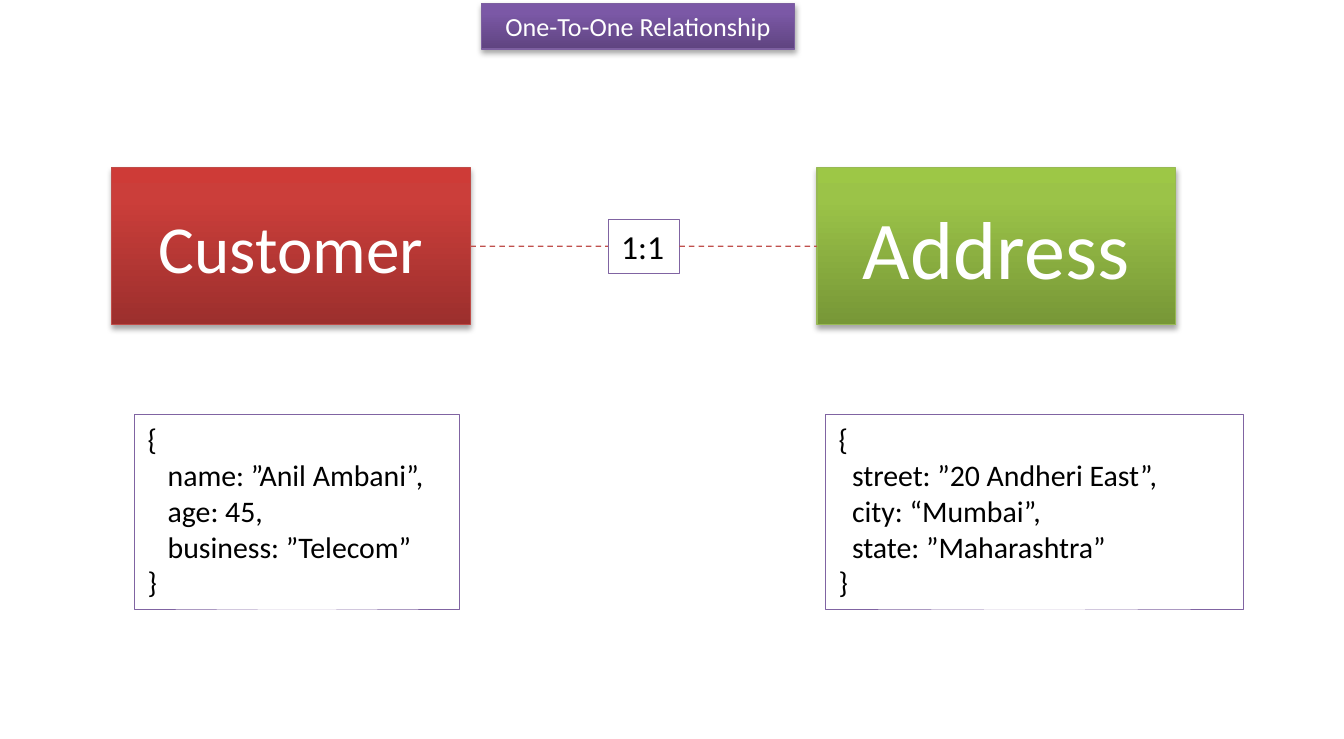
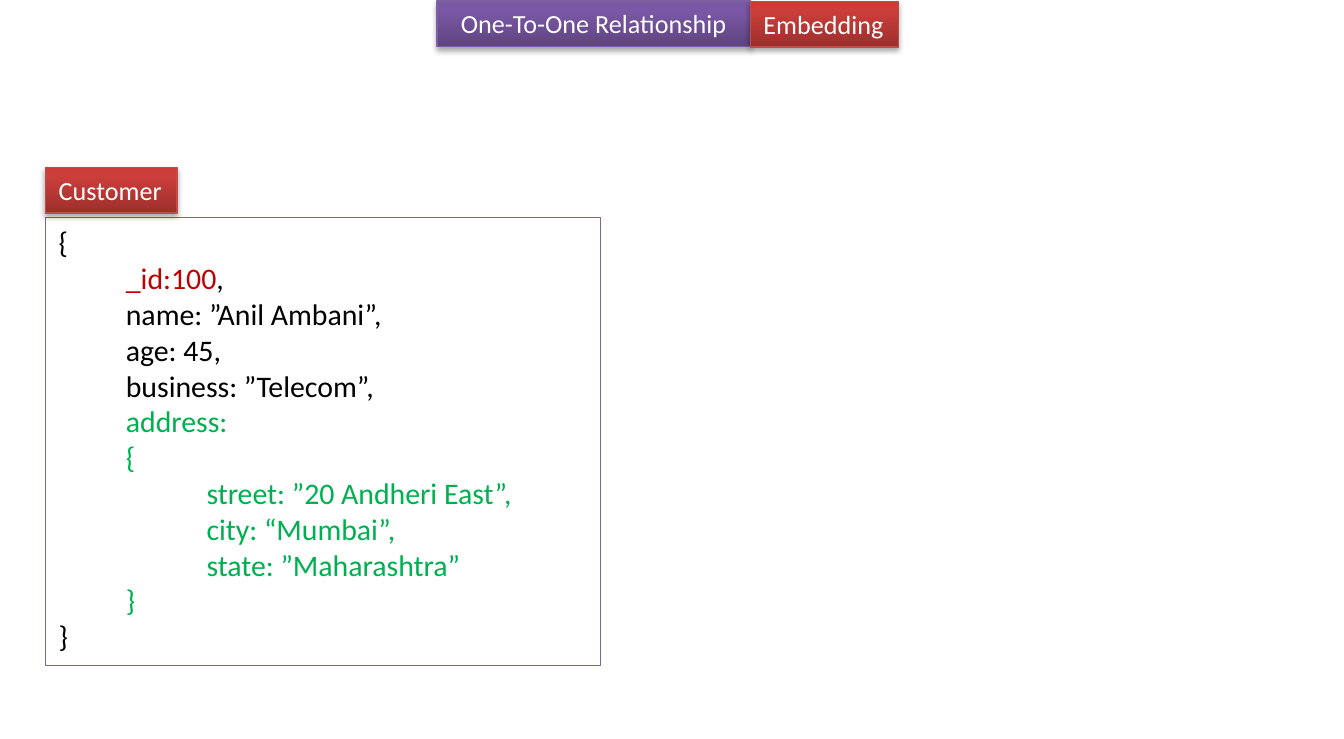
from lxml import etree
from pptx import Presentation
from pptx.dml.color import RGBColor
from pptx.enum.dml import MSO_LINE
from pptx.enum.shapes import MSO_CONNECTOR, MSO_SHAPE
from pptx.enum.text import MSO_ANCHOR, MSO_AUTO_SIZE, PP_ALIGN
from pptx.oxml.ns import qn
from pptx.util import Cm, Pt

RECTANGLE = MSO_SHAPE.RECTANGLE
STRAIGHT = MSO_CONNECTOR.STRAIGHT
DASH = MSO_LINE.DASH
TOP, MIDDLE = MSO_ANCHOR.TOP, MSO_ANCHOR.MIDDLE
LEFT, CENTER = PP_ALIGN.LEFT, PP_ALIGN.CENTER
GROW = MSO_AUTO_SIZE.SHAPE_TO_FIT_TEXT

FONT = "Calibri"
COLORS = {
    "white": "FFFFFF", "black": "000000", "code_border": "8064A2",
    "link": "C0504D", "key": "C00000", "embedded": "00B050",
    "purple_border": "7D60A0", "red_border": "BF4C48", "green_border": "98B955",
}
GRADIENTS = {
    "purple": ("5F4480", "7B58A6", "7C57A8"),
    "red": ("9C2F2D", "CB3E3A", "CE3B37"),
    "green": ("779737", "9BC348", "9DC746"),
}
STOPS = (0, 80, 100)
INDENT = 1.27
TITLE = "One-To-One Relationship"
TITLE_SIZE = (5.92, 0.86)
TAG_HEIGHT = 0.86


def rgb(name):
    return RGBColor.from_string(COLORS[name])


def add_color(parent, value):
    return etree.SubElement(parent, qn("a:srgbClr"), val=value)


def add_box(slide, box, border, border_width):
    shape = slide.shapes.add_shape(RECTANGLE, *(Cm(length) for length in box))
    shape.shadow.inherit = False
    shape.line.color.rgb = rgb(border)
    shape.line.width = Pt(border_width)
    return shape


def style_paragraph(paragraph, size, color, align=LEFT):
    paragraph.alignment = align
    paragraph.font.name = FONT
    paragraph.font.size = Pt(size)
    paragraph.font.color.rgb = rgb(color)


def add_banner(slide, box, text, hue, size, align=CENTER, anchor=TOP, wrap=True):
    banner = add_box(slide, box, f"{hue}_border", 0.75)
    banner.fill.gradient()
    banner.fill.gradient_angle = 90
    properties = banner._element.spPr
    stops = properties.find(qn("a:gradFill")).find(qn("a:gsLst"))
    for stop in list(stops):
        stops.remove(stop)
    for position, value in zip(STOPS, GRADIENTS[hue]):
        add_color(etree.SubElement(stops, qn("a:gs"), pos=str(position * 1000)), value)
    shadow = etree.SubElement(
        properties.find(qn("a:effectLst")), qn("a:outerShdw"),
        blurRad=str(Pt(3.1)), dist=str(Pt(1.8)), dir="5400000", rotWithShape="0")
    etree.SubElement(add_color(shadow, COLORS["black"]), qn("a:alpha"), val="35000")
    frame = banner.text_frame
    frame.text = text
    frame.word_wrap = wrap
    frame.vertical_anchor = anchor
    if anchor == TOP:
        frame.auto_size = GROW
    style_paragraph(frame.paragraphs[0], size, "white", align)
    return banner


def add_title(slide, left, top):
    add_banner(slide, (left, top, *TITLE_SIZE), TITLE, "purple", 14)


def add_tag(slide, left, top, width, text):
    add_banner(slide, (left, top, width, TAG_HEIGHT), text, "red", 14, LEFT, wrap=False)


def add_code(slide, box, lines, size=16, wrap=True):
    code = add_box(slide, box, "code_border", 0.25)
    code.fill.solid()
    code.fill.fore_color.rgb = rgb("white")
    frame = code.text_frame
    frame.word_wrap = wrap
    frame.auto_size = GROW
    frame.vertical_anchor = TOP
    for index, (level, *parts) in enumerate(lines):
        paragraph = frame.paragraphs[0] if index == 0 else frame.add_paragraph()
        if level:
            paragraph.level = level
            properties = paragraph._p.get_or_add_pPr()
            properties.set("marL", str(Cm(level * INDENT)))
            properties.set("indent", "0")
        style_paragraph(paragraph, size, parts[0][1])
        for text, color in parts:
            run = paragraph.add_run()
            run.text = text
            if len(parts) > 1:
                run.font.color.rgb = rgb(color)
    return code


def plain(*texts):
    return [(0, (text, "black")) for text in texts]


def link(slide, start, end):
    line = slide.shapes.add_connector(STRAIGHT, 0, 0, 0, 0)
    line.begin_connect(start, 3)
    line.end_connect(end, 1)
    line.line.color.rgb = rgb("link")
    line.line.width = Pt(0.75)
    line.line.dash_style = DASH
    etree.SubElement(line._element.spPr, qn("a:effectLst"))


def add_entities(slide, box):
    left, top, width, height = box
    entity_width = 6.78
    customer = add_banner(slide, (left, top, entity_width, height),
                          "Customer", "red", 36, anchor=MIDDLE)
    address = add_banner(slide, (left + width - entity_width, top, entity_width, height),
                         "Address", "green", 44, anchor=MIDDLE)
    ratio_width, ratio_height = 1.35, 1.02
    ratio = add_code(slide, (left + (width - ratio_width) / 2, top + (height - ratio_height) / 2,
                             ratio_width, ratio_height), plain("1:1"), 18, False)
    link(slide, customer, ratio)
    link(slide, ratio, address)


def add_documents(slide, box):
    left, top, width, height = box
    customer_width, address_width = 6.15, 7.9
    add_code(slide, (left, top, customer_width, height),
             plain("{", "   name: ”Anil Ambani”,", "   age: 45,",
                   "   business: ”Telecom”", "}"))
    add_code(slide, (left + width - address_width, top, address_width, height),
             plain("{", "  street: ”20 Andheri East”,", "  city: “Mumbai”,",
                   "  state: ”Maharashtra”", "}"))


def add_embedded_document(slide, box):
    left, top, width, height = box
    tag_pitch = 0.94
    add_code(slide, (left, top + tag_pitch, width, height - tag_pitch), [
        (0, ("{", "black")),
        (1, ("_id:100", "key"), (",", "black")),
        (1, ("name: ”Anil Ambani”,", "black")),
        (1, ("age: 45,", "black")),
        (1, ("business: ”Telecom”,", "black")),
        (1, ("address:", "embedded")),
        (1, ("{", "embedded")),
        (2, ("  street: ”20 Andheri East”,", "embedded")),
        (2, ("  city: “Mumbai”,", "embedded")),
        (2, ("  state: ”Maharashtra”", "embedded")),
        (1, ("}", "embedded")),
        (0, ("}", "black")),
    ])
    add_tag(slide, left, top, 2.49, "Customer")


def build_relationship(slide):
    add_title(slide, 9.1, 0.07)
    add_entities(slide, (2.11, 3.17, 20.11, 2.97))
    add_documents(slide, (2.54, 7.83, 20.96, 3.68))


def build_embedding(slide):
    title_left = 8.26
    add_title(slide, title_left, 0.02)
    add_embedded_document(slide, (0.86, 3.17, 10.49, 9.4))
    add_tag(slide, title_left + TITLE_SIZE[0], 0.03, 2.8, "Embedding")


def main():
    presentation = Presentation()
    presentation.slide_width = Cm(25.4)
    presentation.slide_height = Cm(13.97)
    for build in (build_relationship, build_embedding):
        build(presentation.slides.add_slide(presentation.slide_layouts[6]))
    presentation.save("out.pptx")


if __name__ == "__main__":
    main()
